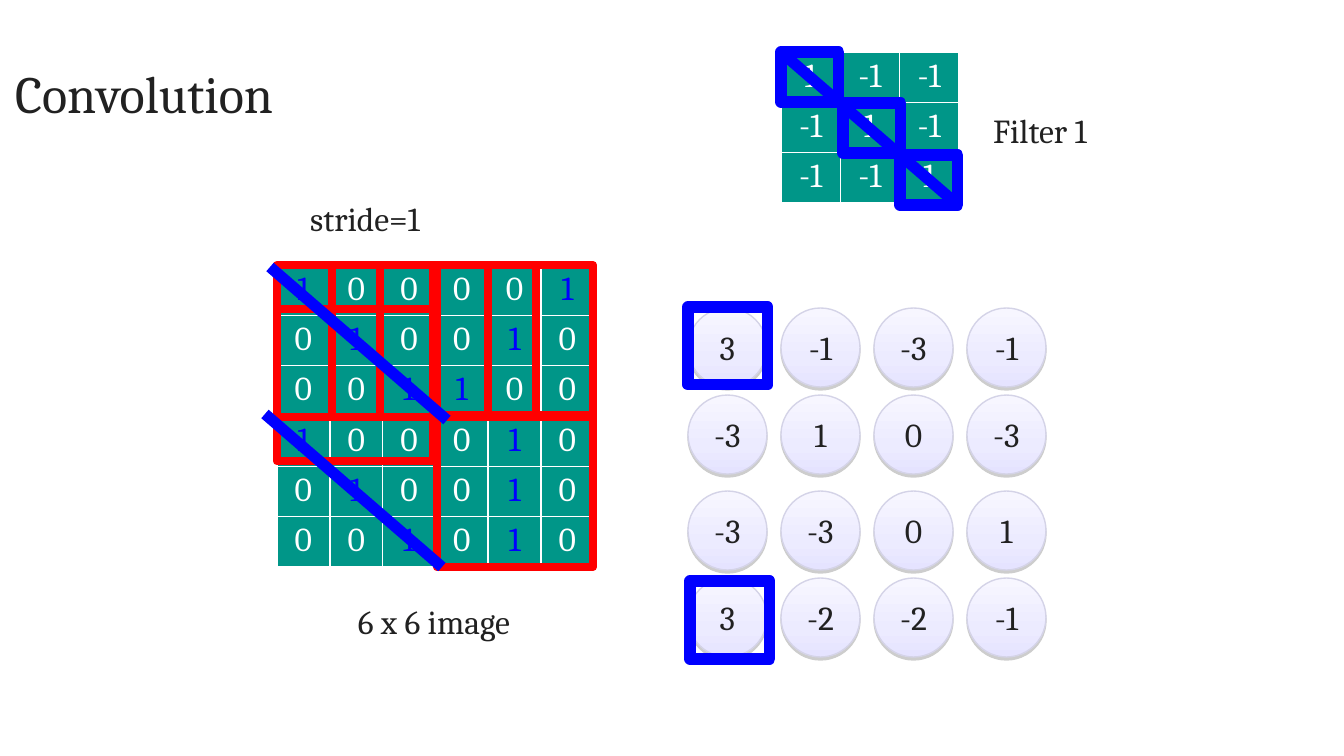
from lxml import etree
from pptx import Presentation
from pptx import util as u
from pptx.dml.color import RGBColor
from pptx.enum import shapes, text
from pptx.oxml import parse_xml

PX = 6804
FONT = "Cambria"
INK, WHITE, TEAL, RED, BLUE = "212121", "FFFFFF", "009688", "FF0000", "0000FF"
NS = "http://schemas.openxmlformats.org/drawingml/2006/main"
MID, LEFT = text.PP_ALIGN.CENTER, text.PP_ALIGN.LEFT


def paint(fill, tone):
    fill.solid()
    fill.fore_color.rgb = RGBColor.from_string(tone)


def write(frame, words, size=18, tone=INK, align=MID):
    para = frame.paragraphs[0]
    para.text = words
    para.alignment = align
    para.font.name = FONT
    para.font.size = u.Pt(size)
    para.font.color.rgb = RGBColor.from_string(tone)


deck = Presentation()
deck.slide_width, deck.slide_height = 1344 * PX, 756 * PX
slide = deck.slides.add_slide(deck.slide_layouts[6])
items = slide.shapes

labels = [
    ("Convolution", 5, 20, 870, 146, 28, LEFT),
    ("6 x 6 image", 305, 594, 258, 54, 18, MID),
    ("Filter 1", 960, 103, 160, 54, 18, MID),
    ("stride=1", 297, 191, 148, 54, 18, LEFT),
]
for words, x, y, w, h, size, align in labels:
    frame = items.add_textbox(x * PX, y * PX, w * PX, h * PX).text_frame
    frame.word_wrap = True
    if size == 28:
        frame.vertical_anchor = text.MSO_ANCHOR.MIDDLE
        frame.margin_left = frame.margin_right = 10 * PX
    write(frame, words, size, align=align)

image = ["100001", "010010", "001100", "100010", "010010", "001010"]
kernel = [["1", "-1", "-1"], ["-1", "1", "-1"], ["-1", "-1", "1"]]
for rows, x, y, w, h, one in [
    (image, 277, 265, 317, 302, BLUE),
    (kernel, 781, 52, 178, 151, WHITE),
]:
    count = len(rows)
    table = items.add_table(count, count, x * PX, y * PX, w * PX, h * PX).table
    table.first_row = table.horz_banding = False
    for r, row in enumerate(rows):
        for c, value in enumerate(row):
            cell = table.cell(r, c)
            cell.margin_left = cell.margin_right = 10 * PX
            cell.margin_top = cell.margin_bottom = 5 * PX
            write(cell.text_frame, value, tone=one if value == "1" else WHITE)
            props = cell._tc.get_or_add_tcPr()
            for side in "LRTB":
                props.append(parse_xml(
                    f'<a:ln{side} xmlns:a="{NS}" w="12700"><a:solidFill>'
                    f'<a:srgbClr val="{WHITE}"/></a:solidFill></a:ln{side}>'))
            paint(cell.fill, TEAL)

stops = "".join(
    f'<a:gs pos="{pos}000"><a:srgbClr val="{tone}"/></a:gs>'
    for pos, tone in [(0, "F7F6FF"), (65, "ECEBFF"), (100, "E5E3FF")])
blend = (f'<a:gradFill xmlns:a="{NS}"><a:gsLst>{stops}</a:gsLst>'
         '<a:lin ang="5400000" scaled="0"/></a:gradFill>')
shade = (f'<a:outerShdw xmlns:a="{NS}" blurRad="0" dist="20320" dir="5400000">'
         '<a:srgbClr val="808080"><a:alpha val="38000"/></a:srgbClr></a:outerShdw>')
result = [(308, "3 -1 -3 -1"), (395, "-3 1 0 -3"),
          (491, "-3 -3 0 1"), (578, "3 -2 -2 -1")]
for y, row in result:
    for c, value in enumerate(row.split()):
        ball = items.add_shape(shapes.MSO_SHAPE.OVAL,
                               (688 + 93 * c) * PX, y * PX, 79 * PX, 79 * PX)
        paint(ball.line.fill, "D4D3E7")
        ball.line.width = u.Pt(0.75)
        ball.shadow.inherit = False
        props = ball._element.spPr
        props.find(f"{{{NS}}}ln").addprevious(parse_xml(blend))
        props.find(f"{{{NS}}}effectLst").append(parse_xml(shade))
        frame = ball.text_frame
        frame.word_wrap = False
        frame.margin_left = frame.margin_right = 0
        frame.vertical_anchor = text.MSO_ANCHOR.MIDDLE
        write(frame, value)

frames = [
    (RED, 4.5, 156, 152, [(277, 265), (332, 265), (380, 265), (437, 265),
                          (277, 309), (437, 415)]),
    (BLUE, 6, 58, 50, [(781, 52), (843, 103), (900, 155)]),
    (BLUE, 6, 80, 78, [(688, 307), (690, 581)]),
]
for tone, thick, w, h, spots in frames:
    for x, y in spots:
        box = items.add_shape(shapes.MSO_SHAPE.RECTANGLE,
                              x * PX, y * PX, w * PX, h * PX)
        box.fill.background()
        paint(box.line.fill, tone)
        box.line.width = u.Pt(thick)
        box.shadow.inherit = False

for x, y in [(781, 52), (270, 267), (265, 414)]:
    line = items.add_connector(shapes.MSO_CONNECTOR.STRAIGHT,
                               x * PX, y * PX, (x + 177) * PX, (y + 153) * PX)
    paint(line.line.fill, BLUE)
    line.line.width = u.Pt(6)
    etree.SubElement(line._element.spPr, f"{{{NS}}}effectLst")

deck.save("out.pptx")
